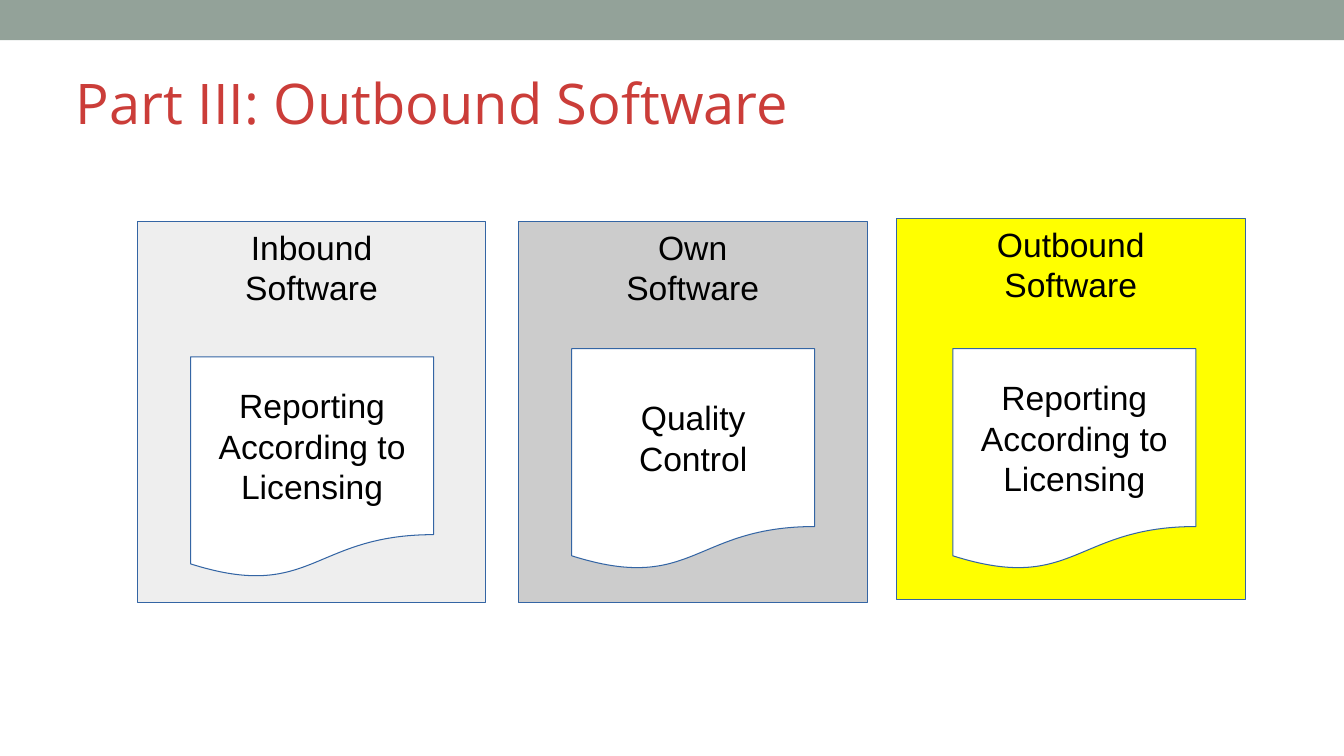
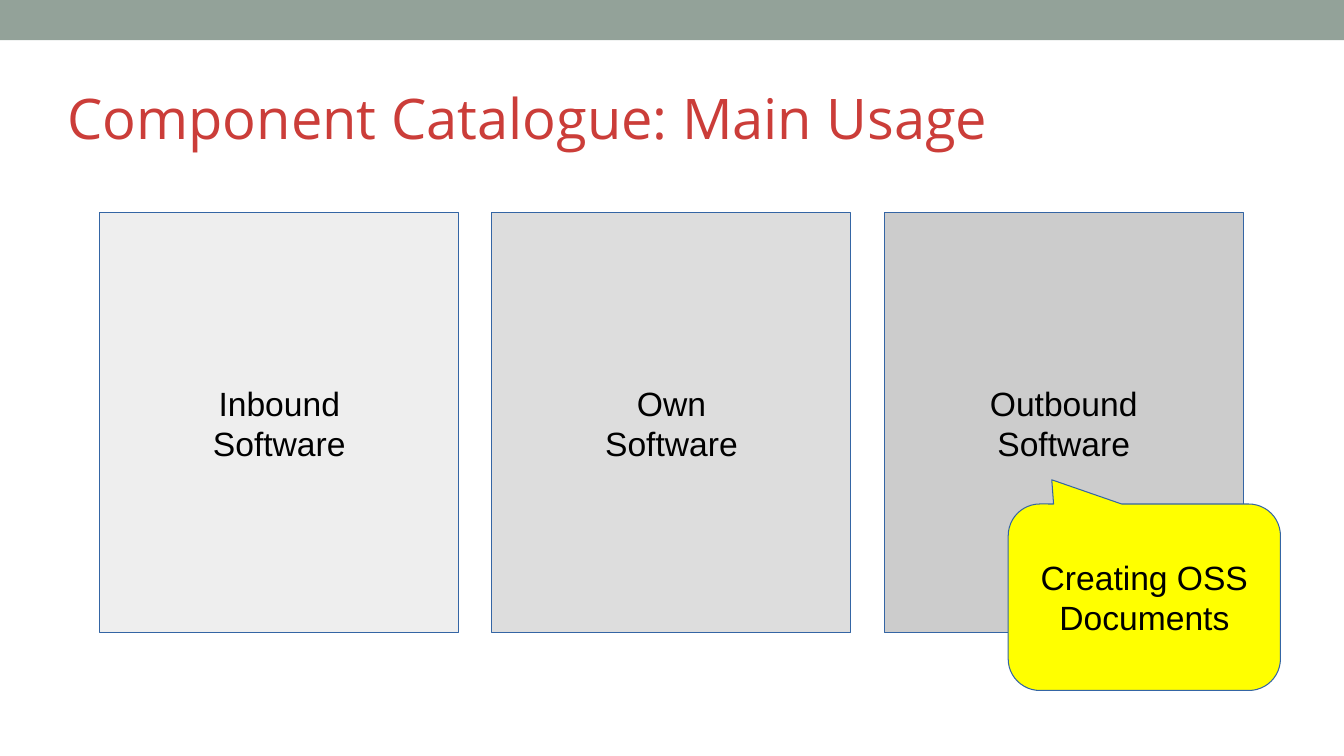
from dataclasses import dataclass

from pptx import Presentation
from pptx.dml.color import RGBColor
from pptx.enum.shapes import MSO_SHAPE as Preset
from pptx.enum.text import MSO_ANCHOR as Anchor, MSO_AUTO_SIZE as AutoSize, PP_ALIGN as Align
from pptx.shapes.autoshape import Shape
from pptx.slide import Slide
from pptx.util import Inches, Pt

# Shared look
BAND, RED, BLUE, BLACK = "93A299", "CB3D39", "3465A4", "000000"
WHITE, YELLOW = "FFFFFF", "FFFF00"
PALE, LIGHT, GREY = "EEEEEE", "DDDDDD", "CCCCCC"
TITLE_FONT = {"name": "Open Sans", "size": Pt(40)}
BOX_FONT = {"name": "Arial", "size": Pt(24)}
TITLE_FRAME = {"margin_left": 0, "margin_top": 0, "margin_right": 0, "margin_bottom": 0,
               "vertical_anchor": Anchor.BOTTOM, "auto_size": AutoSize.NONE, "word_wrap": True}

# "\n" starts a paragraph, "\v" breaks a line
INBOUND, OWN, OUTBOUND = "Inbound\nSoftware", "Own\nSoftware", "Outbound\vSoftware"
REPORTING = "Reporting\vAccording to\vLicensing"


@dataclass(frozen=True)
class Box:
    text: str
    left: float
    top: float
    width: float
    height: float
    fill: str
    preset: Preset = Preset.RECTANGLE
    anchor: Anchor = Anchor.MIDDLE
    adjustments: tuple[float, ...] = ()


def rgb(color: str) -> RGBColor:
    return RGBColor.from_string(color)


def apply(target: object, values: dict) -> None:
    for key, value in values.items():
        setattr(target, key, value)


def style_text(shape: Shape, font: dict, color: str, align: Align) -> None:
    for paragraph in shape.text_frame.paragraphs:
        paragraph.alignment = align
        for run in paragraph.runs:
            apply(run.font, font)
            run.font.color.rgb = rgb(color)


def draw_box(slide: Slide, box: Box) -> Shape:
    frame = [Inches(n) for n in (box.left, box.top, box.width, box.height)]
    shape = slide.shapes.add_shape(box.preset, *frame)
    shape.shadow.inherit = False
    shape.fill.solid()
    shape.fill.fore_color.rgb = rgb(box.fill)
    shape.line.color.rgb = rgb(BLUE)
    shape.line.width = Pt(0.74)
    for index, value in enumerate(box.adjustments):
        shape.adjustments[index] = value
    shape.text_frame.text = box.text
    shape.text_frame.vertical_anchor = box.anchor
    style_text(shape, BOX_FONT, BLACK, Align.CENTER)
    return shape


def add_slide(title: str, left: float, top: float) -> Slide:
    slide = deck.slides.add_slide(deck.slide_layouts[5])
    heading = slide.shapes.title
    apply(heading, {"left": Inches(left), "top": Inches(top),
                    "width": Inches(12), "height": Inches(1.15)})
    heading.text_frame.text = title
    apply(heading.text_frame, TITLE_FRAME)
    style_text(heading, TITLE_FONT, RED, Align.LEFT)
    return slide


def add_master_band(slide: Slide) -> None:
    """Draw the top band and move it to the master, behind everything."""
    band = draw_box(slide, Box("", 0, 0, 13.33, 0.4, BAND))
    band.line.fill.background()
    band.element.nvSpPr.cNvPr.set("id", "100")
    deck.slide_master.shapes.element.insert(2, band.element)


deck = Presentation()
deck.slide_width, deck.slide_height = Inches(13.33), Inches(7.5)

# Slide 1: reporting and control in each stage
stages = add_slide("Part III: Outbound Software", 0.75, 0.2)
add_master_band(stages)
for name, left, top, fill in ((INBOUND, 1.36, 2.2, PALE), (OWN, 5.14, 2.2, GREY),
                              (OUTBOUND, 8.89, 2.17, YELLOW)):
    draw_box(stages, Box(name, left, top, 3.46, 3.78, fill, anchor=Anchor.TOP))
documents = ((REPORTING, 3.54), ("Quality\vControl", 3.46), (REPORTING, 3.46))
for column, (name, top) in enumerate(documents):
    draw_box(stages, Box(name, 1.89 + 3.78 * column, top, 2.41, 2.2, WHITE,
                         Preset.FLOWCHART_DOCUMENT))

# Slide 2: where the catalogue is used
usage = add_slide("Component Catalogue: Main Usage", 0.67, 0.35)
for column, (name, fill) in enumerate(((INBOUND, PALE), (OWN, LIGHT), (OUTBOUND, GREY))):
    draw_box(usage, Box(name, 0.99 + 3.89 * column, 2.11, 3.56, 4.17, fill))
draw_box(usage, Box("Creating OSS Documents", 10, 5, 2.7, 1.85, YELLOW,
                    Preset.ROUNDED_RECTANGULAR_CALLOUT, adjustments=(-0.34, -0.63, 0.17)))

deck.save("out.pptx")
